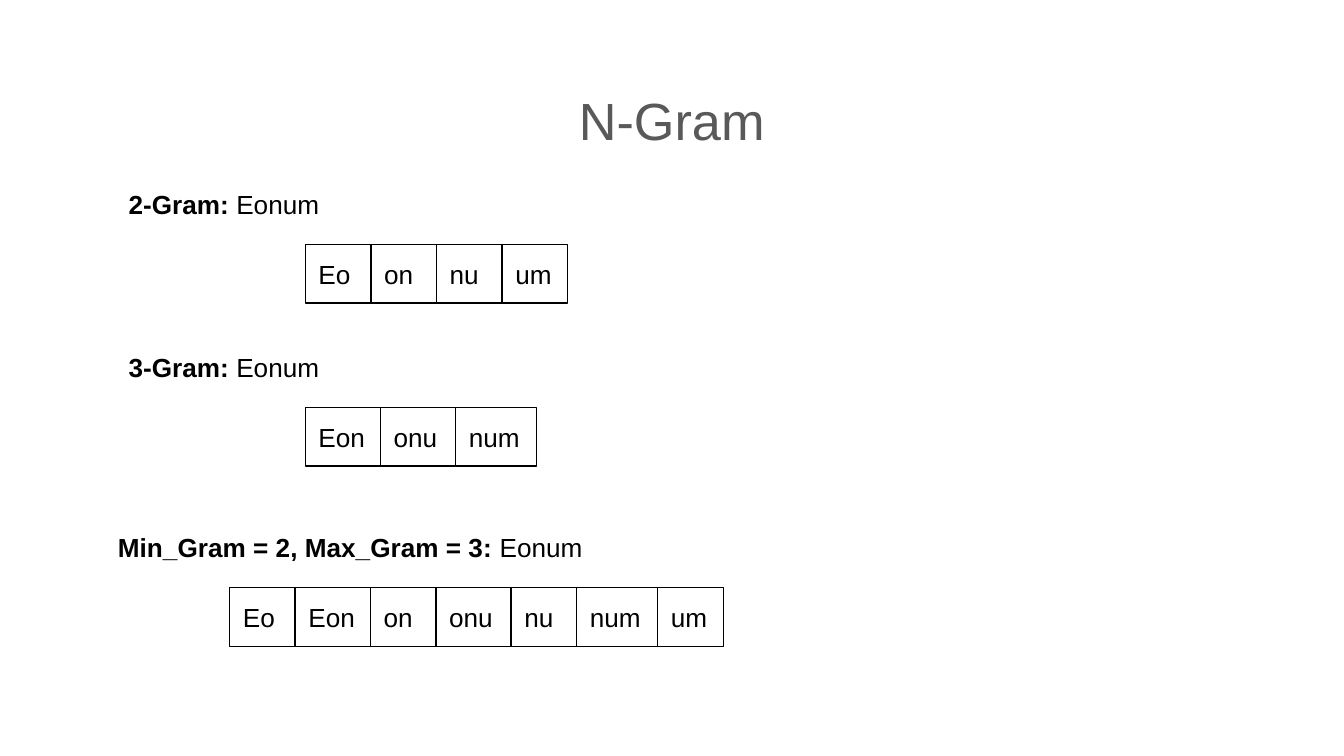
from pptx import Presentation
from pptx.dml.color import RGBColor
from pptx.enum.shapes import MSO_SHAPE as Shape
from pptx.enum.text import MSO_ANCHOR as Anchor, PP_ALIGN as Align
from pptx.util import Cm, Pt

INSET = Cm(0.25)
CELL_H = Cm(1.11)
CELL_W = {"Eo": 1.24, "on": 1.24, "nu": 1.24, "um": 1.24,
          "Eon": 1.42, "onu": 1.42, "num": 1.53}


def color(value):
    return RGBColor.from_string(value)


def set_text(sp, *texts, size=14, fill="000000", bold_first=False,
             align=Align.LEFT, anchor=Anchor.TOP):
    """Write the texts as runs of one paragraph."""
    tf = sp.text_frame
    tf.word_wrap = True
    tf.vertical_anchor = anchor
    tf.margin_left = tf.margin_right = tf.margin_top = tf.margin_bottom = INSET
    p = tf.paragraphs[0]
    p.alignment = align
    for i, text in enumerate(texts):
        r = p.add_run()
        r.text = text
        r.font.name = "Arial"
        r.font.size = Pt(size)
        r.font.bold = bold_first and i == 0
        r.font.color.rgb = color(fill)


def add_title(s, text, left, top, width, height):
    sp = s.shapes.add_textbox(left, top, width, height)
    set_text(sp, text, size=28, fill="595959", align=Align.CENTER)


def add_cell(s, gram, left, top, width, height):
    sp = s.shapes.add_shape(Shape.RECTANGLE, left, top, width, height)
    sp.shadow.inherit = False
    sp.fill.background()
    sp.line.color.rgb = color("000000")
    sp.line.width = Pt(0.75)
    set_text(sp, gram, anchor=Anchor.MIDDLE)


def add_example(s, label, grams, indent, left, top, width, height):
    """A labelled word with its grams in a row of adjoining cells."""
    sp = s.shapes.add_textbox(left, top, width, height)
    set_text(sp, label + " ", "Eonum", bold_first=True)

    # Each cell starts where the one before it ends
    x = left + indent
    for gram in grams:
        w = Cm(CELL_W[gram])
        add_cell(s, gram, x, top + Cm(1.31), w, CELL_H)
        x += w


def main():
    prs = Presentation()
    prs.slide_width, prs.slide_height = Cm(25.4), Cm(14.29)
    s = prs.slides.add_slide(prs.slide_layouts[6])

    add_title(s, "N-Gram", Cm(0.86), Cm(1.42), Cm(23.67), Cm(2.21))

    # Label, grams, indent of the cells, left and top of the example
    examples = [
        ("2-Gram:", ["Eo", "on", "nu", "um"], 3.59, 2.18, 3.31),
        ("3-Gram:", ["Eon", "onu", "num"], 3.59, 2.18, 6.39),
        ("Min_Gram = 2, Max_Gram = 3:",
         ["Eo", "Eon", "on", "onu", "nu", "num", "um"], 2.36, 1.98, 9.8),
    ]
    for label, grams, indent, left, top in examples:
        add_example(s, label, grams, Cm(indent),
                    Cm(left), Cm(top), Cm(11.84), Cm(2.31))

    prs.save("out.pptx")


if __name__ == "__main__":
    main()
